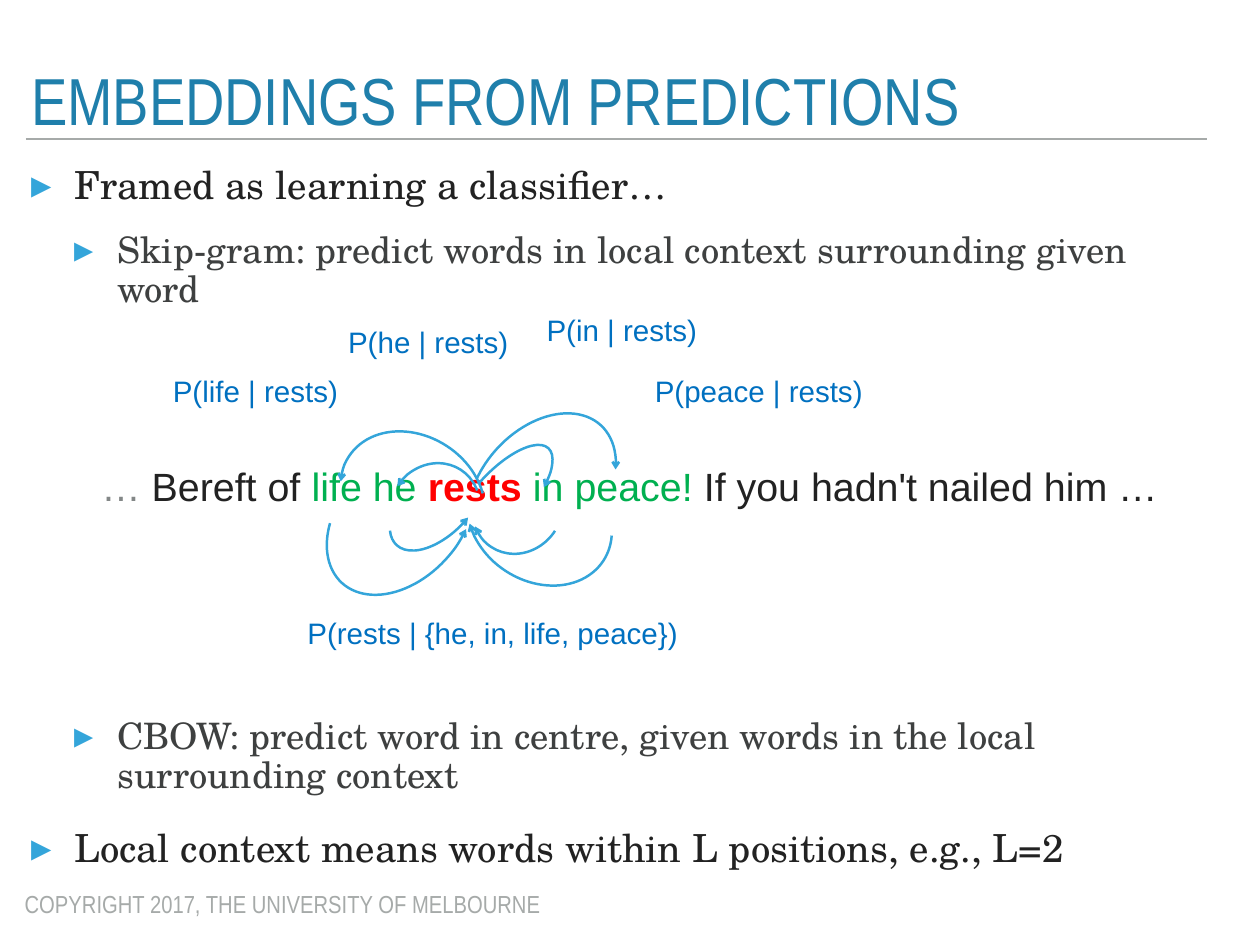
import lxml.etree
import pptx
import pptx.dml.color
import pptx.enum.shapes
import pptx.enum.text
import pptx.oxml.ns
import pptx.util

Pt = pptx.util.Pt
qn = pptx.oxml.ns.qn
Anchor = pptx.enum.text.MSO_ANCHOR
AutoSize = pptx.enum.text.MSO_AUTO_SIZE

COLORS = {
    "title": "1F7FAB", "accent": "34A5DA", "grey": "A6AAA9",
    "text": "222222", "subtext": "3E4040", "dots": "838787",
    "context": "00B050", "centre": "FF0000", "label": "0070C0",
}
NARROW, SERIF, SANS = "Arial Narrow", "TeX Gyre Schola", "Arial"
INSET = 4.3


def rgb(name):
    return pptx.dml.color.RGBColor.from_string(COLORS[name])


def place(sp, box):
    sp.left, sp.top, sp.width, sp.height = (Pt(v) for v in box)


def set_frame(tf, anchor, wrap=True, auto_size=AutoSize.NONE, inset=INSET):
    tf.word_wrap = wrap
    tf.auto_size = auto_size
    tf.vertical_anchor = anchor
    if inset is not None:
        tf.margin_left = tf.margin_right = Pt(inset)
        tf.margin_top = tf.margin_bottom = Pt(inset)


def add_run(p, text, size, font, color, bold=False):
    r = p.add_run()
    r.text = text
    r.font.size = Pt(size)
    r.font.name = font
    r.font.bold = bold
    r.font.color.rgb = rgb(color)


def add_text(s, box, runs, size, font, anchor=Anchor.MIDDLE, wrap=False, inset=INSET):
    sp = s.shapes.add_textbox(*(Pt(v) for v in box))
    set_frame(sp.text_frame, anchor, wrap, AutoSize.SHAPE_TO_FIT_TEXT, inset)
    p = sp.text_frame.paragraphs[0]
    for text, color, *bold in runs:
        add_run(p, text, size, font, color, bool(bold))


def set_bullet(p, indent):
    pPr = p._p.get_or_add_pPr()
    pPr.set("marL", str(Pt(indent * (p.level + 1))))
    pPr.set("indent", str(-Pt(indent)))
    clr = lxml.etree.SubElement(pPr, qn("a:buClr"))
    lxml.etree.SubElement(clr, qn("a:srgbClr"), val=COLORS["accent"])
    lxml.etree.SubElement(pPr, qn("a:buSzPct"), val="105000")
    lxml.etree.SubElement(pPr, qn("a:buChar"), char="▸")


# Title with the rule along its lower edge
def add_title(s, box):
    x, y, w, h = box
    sp = s.shapes.title
    place(sp, box)
    set_frame(sp.text_frame, Anchor.TOP)
    p = sp.text_frame.paragraphs[0]
    p.alignment = pptx.enum.text.PP_ALIGN.LEFT
    p.line_spacing = 0.8
    p.space_before = Pt(0)
    add_run(p, "EMBEDDINGS FROM PREDICTIONS", 54, NARROW, "title")

    rule = s.shapes.add_connector(
        pptx.enum.shapes.MSO_CONNECTOR.STRAIGHT, Pt(x), Pt(y + h), Pt(x + w), Pt(y + h))
    rule.line.color.rgb = rgb("grey")
    rule.line.width = Pt(2)
    lxml.etree.SubElement(rule._element.spPr, qn("a:effectLst"))


# Bullet list, with a wide gap for the diagram
def add_body(s, box):
    items = [
        (0, 0, "Framed as learning a classifier…"),
        (1, 20, "Skip-gram: predict words in local context surrounding given word"),
        (1, 331, "CBOW: predict word in centre, given words in the local surrounding context"),
        (0, 26, "Local context means words within L positions, e.g., L=2"),
    ]
    sp = s.placeholders[1]
    place(sp, box)
    tf = sp.text_frame
    set_frame(tf, Anchor.TOP)
    for i, (level, before, text) in enumerate(items):
        p = tf.add_paragraph() if i else tf.paragraphs[0]
        p.level = level
        p.line_spacing = 0.9
        p.space_before = Pt(before)
        set_bullet(p, 35)
        size, color = ((31.4, "text"), (29.6, "subtext"))[level]
        add_run(p, text, size, SERIF, color)


def add_arc(s, box, rotation, adjustments, arrow_end, flip):
    sp = s.shapes.add_shape(pptx.enum.shapes.MSO_SHAPE.ARC, *(Pt(v) for v in box))
    sp.shadow.inherit = False
    sp.adjustments[0], sp.adjustments[1] = adjustments
    sp.rotation = rotation
    sp.fill.background()
    sp.line.color.rgb = rgb("accent")
    sp.line.width = Pt(2)
    spPr = sp._element.spPr
    if flip:
        xfrm = spPr.find(qn("a:xfrm"))
        xfrm.set("flipH", "1")
        xfrm.set("flipV", "1")
    lxml.etree.SubElement(spPr.find(qn("a:ln")), qn("a:" + arrow_end), type="arrow")


# Example sentence with its arcs and probabilities
def add_diagram(s, box):
    x, y, w, h = box
    add_text(s, (x, y + 122.3, w, 71.3), [
        ("… ", "dots"), ("Bereft of ", "text"), ("life he ", "context"),
        ("rests ", "centre", True), ("in peace! ", "context"),
        ("If you hadn't nailed him …", "text"),
    ], 32, SANS, wrap=True)

    # Arcs above lead from the centre word, arcs below lead to it
    arcs = [
        (235.9, 141.7, 78.5, 72, 303, (162, 19.3), "headEnd", False),
        (207.1, 105.7, 100.8, 123.8, 303, (149.93, 32), "headEnd", False),
        (274.1, 146, 111.6, 44.6, 132.6, (155.82, 19.3), "tailEnd", True),
        (291.4, 111.5, 141.8, 98.6, 132.6, (141.95, 19.3), "tailEnd", True),
        (303.6, 138.8, 78.5, 72, 123, (162, 19.3), "tailEnd", False),
        (310.1, 123, 100.8, 123.8, 123, (149.93, 32), "tailEnd", False),
        (228, 141, 101.5, 55.4, 312.6, (155.82, 8.8), "headEnd", True),
        (176.9, 135.2, 141.8, 98.6, 312.6, (141.95, 26.25), "headEnd", True),
    ]
    for dx, dy, aw, ah, *style in arcs:
        add_arc(s, (x + dx, y + dy, aw, ah), *style)

    labels = [
        (58.1, 49.6, 143.3, "P(life | rests)"),
        (200.6, 10.1, 139.7, "P(he | rests)"),
        (361.9, 0, 131.8, "P(in | rests)"),
        (449.8, 49.6, 178.6, "P(peace | rests)"),
        (167.5, 246.8, 311.8, "P(rests | {he, in, life, peace})"),
    ]
    for dx, dy, lw, text in labels:
        add_text(s, (x + dx, y + dy, lw, 61.2), [(text, "label")], 24, SANS)


# Copyright line
def add_footer(s, box):
    add_text(s, box, [("COPYRIGHT 2017, THE UNIVERSITY OF MELBOURNE", "grey")],
             20, NARROW, anchor=Anchor.TOP, inset=None)


def main():
    prs = pptx.Presentation()
    prs.slide_width, prs.slide_height = Pt(1024), Pt(768)
    s = prs.slides.add_slide(prs.slide_layouts[1])
    add_footer(s, (13, 718.6, 437, 29.5))
    add_title(s, (21, 56, 960, 57))
    add_body(s, (21, 130.3, 960, 614))
    add_diagram(s, (78, 237, 901, 308))
    prs.save("out.pptx")


if __name__ == "__main__":
    main()
